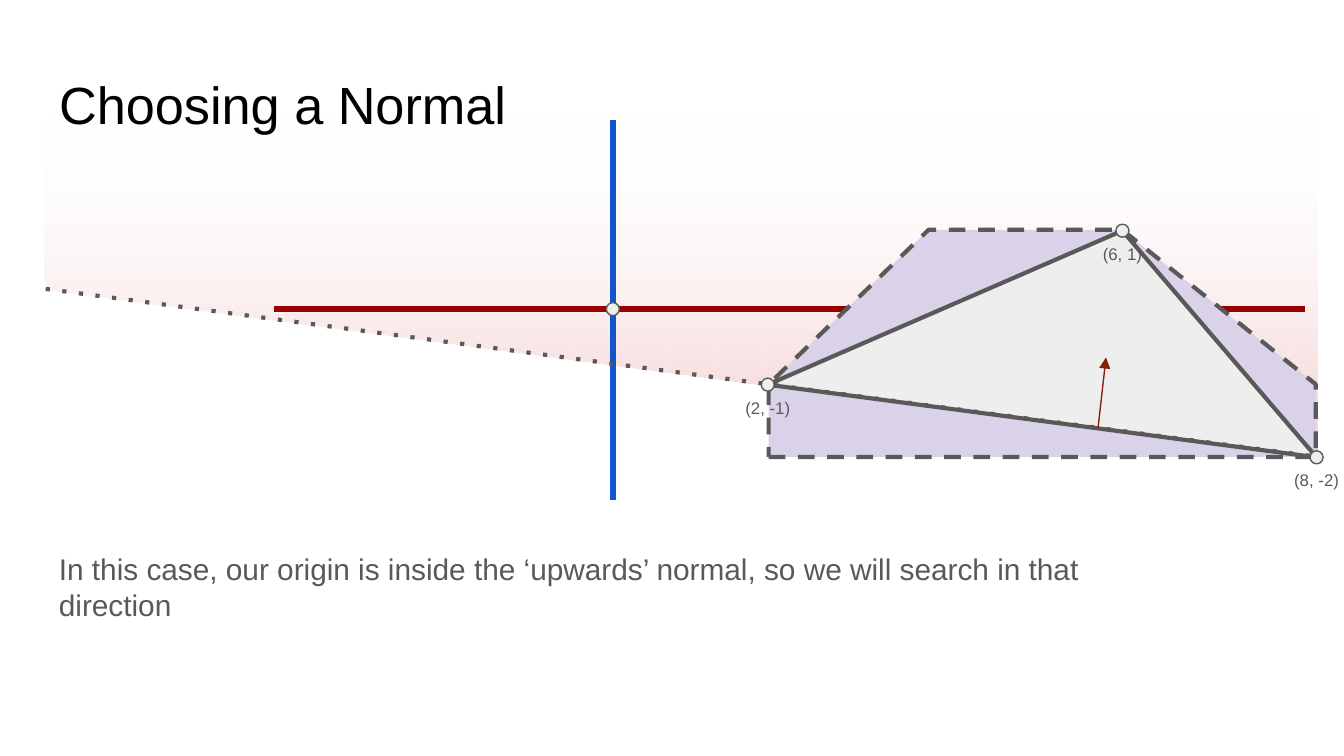
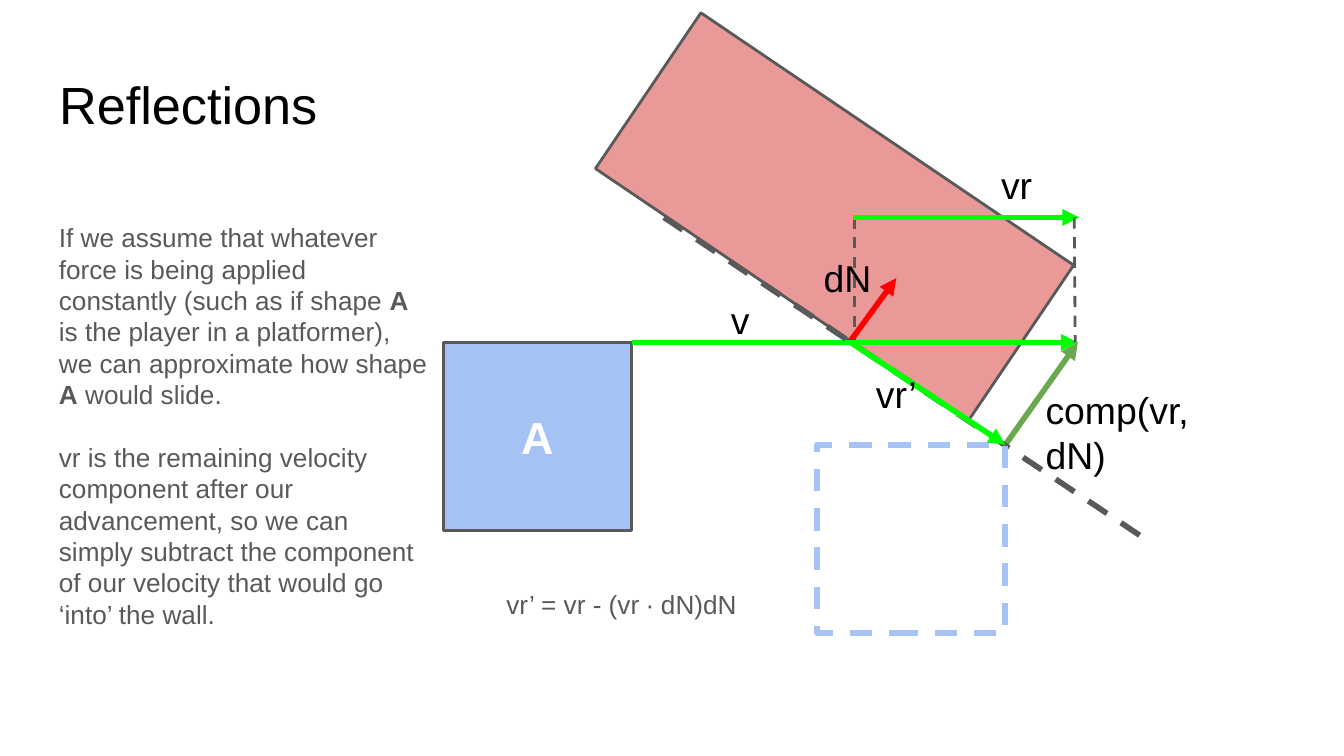
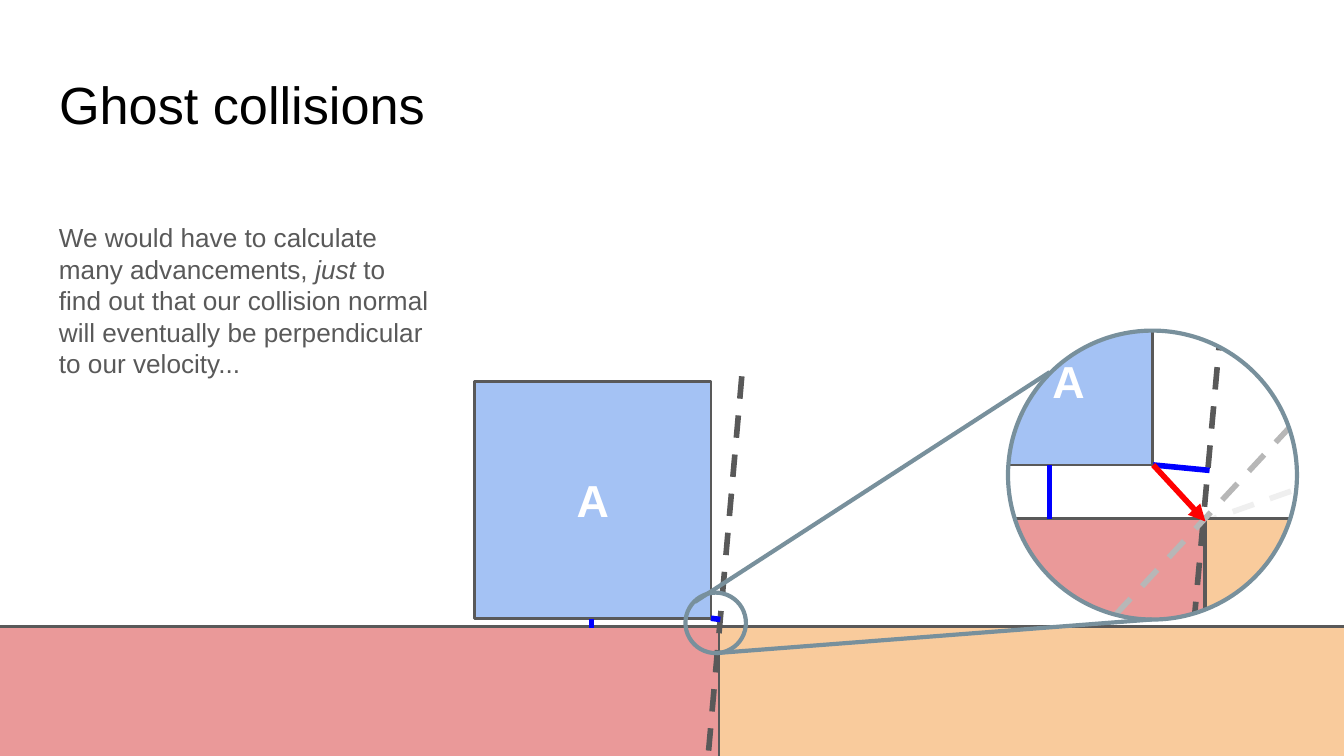
from lxml.etree import SubElement
from pptx import Presentation
from pptx.dml.color import RGBColor
from pptx.enum.shapes import MSO_CONNECTOR as Link, MSO_SHAPE as Kind
from pptx.enum.text import MSO_ANCHOR as Anchor, MSO_AUTO_SIZE as Fit, PP_ALIGN as Align
from pptx.oxml.ns import qn
from pptx.util import Pt

BLACK = RGBColor(0x00, 0x00, 0x00)
WHITE = RGBColor(0xFF, 0xFF, 0xFF)
GREY = RGBColor(0x59, 0x59, 0x59)
MID = RGBColor(0xB7, 0xB7, 0xB7)
PALE = RGBColor(0xEF, 0xEF, 0xEF)
FOG = RGBColor(0xEE, 0xEE, 0xEE)
SLATE = RGBColor(0x78, 0x90, 0x9C)
BLUSH = RGBColor(0xF4, 0xCC, 0xCC)
LILAC = RGBColor(0xD9, 0xD2, 0xE9)
SKY = RGBColor(0xA4, 0xC2, 0xF4)
ROSE = RGBColor(0xEA, 0x99, 0x99)
PEACH = RGBColor(0xF9, 0xCB, 0x9C)
NAVY = RGBColor(0x11, 0x55, 0xCC)
BLUE = RGBColor(0x00, 0x00, 0xFF)
RED = RGBColor(0xFF, 0x00, 0x00)
WINE = RGBColor(0x99, 0x00, 0x00)
RUST = RGBColor(0x85, 0x20, 0x0C)
LIME = RGBColor(0x00, 0xFF, 0x00)
MOSS = RGBColor(0x6A, 0xA8, 0x4F)
FONT = "Arial"
PAD = Pt(7.2)


def stroke(shape, color, width, dash=None, arrow=False):
    """Set the outline of a shape or connector."""
    shape.line.color.rgb = color
    shape.line.width = Pt(width)
    ln = shape.element.spPr.find(qn("a:ln"))
    if dash:
        SubElement(ln, qn("a:prstDash")).set("val", dash)
    if arrow:
        SubElement(ln, qn("a:tailEnd")).set("type", "triangle")


def paint(shape, fill, line, width, dash=None):
    """Give a shape its fill and outline, and no shadow."""
    shape.shadow.inherit = False
    if fill is None:
        shape.fill.background()
    else:
        shape.fill.solid()
        shape.fill.fore_color.rgb = fill
    if line is None:
        shape.line.fill.background()
    else:
        stroke(shape, line, width, dash)
    return shape


def write(frame, paras, size, color, align=Align.LEFT, anchor=Anchor.TOP, gap=0):
    """Fill a frame with paragraphs of runs, each run a text and its style."""
    frame.word_wrap = True
    frame.auto_size = Fit.NONE
    frame.vertical_anchor = anchor
    frame.margin_left = frame.margin_right = PAD
    frame.margin_top = frame.margin_bottom = PAD
    for i, runs in enumerate(paras):
        para = frame.add_paragraph() if i else frame.paragraphs[0]
        para.alignment = align
        para.space_before = Pt(gap if i else 0)
        for text, style in runs:
            run = para.add_run()
            run.text = text
            font = run.font
            font.name, font.size = FONT, Pt(size)
            font.color.rgb = color
            font.bold = style == "bold"
            font.italic = style == "italic"


class Pen:
    """Draws on a slide relative to one point, in points."""

    def __init__(self, slide, x, y):
        """Keep the slide's shapes and the point."""
        self.shapes, self.x, self.y = slide.shapes, x, y

    def spot(self, x, y):
        """Return the place of a relative point on the slide."""
        return Pt(self.x + x), Pt(self.y + y)

    def line(self, start, end, color, width, dash=None, arrow=False):
        """Draw a straight line."""
        link = self.shapes.add_connector(
            Link.STRAIGHT, *self.spot(*start), *self.spot(*end))
        stroke(link, color, width, dash, arrow)
        SubElement(link.element.spPr, qn("a:effectLst"))

    def shape(self, kind, x, y, w, h, fill=None, line=GREY, width=1.5, dash=None):
        """Draw a preset shape from its top left corner."""
        new = self.shapes.add_shape(kind, *self.spot(x, y), Pt(w), Pt(h))
        return paint(new, fill, line, width, dash)

    def disc(self, x, y, size, fill=None, line=SLATE, width=2.25, kind=Kind.OVAL):
        """Draw a round shape about its centre."""
        half = size / 2
        return self.shape(kind, x - half, y - half, size, size, fill, line, width)

    def player(self, x, y, size):
        """Draw the square called A."""
        box = self.shape(Kind.RECTANGLE, x, y, size, size, SKY)
        write(box.text_frame, [[("A", "bold")]], 24, WHITE, Align.CENTER, Anchor.MIDDLE)

    def poly(self, spots, fill, line=GREY, width=2.25, dash=None):
        """Draw a closed outline."""
        first, *rest = [self.spot(*s) for s in spots]
        maker = self.shapes.build_freeform(*first, scale=1.0)
        maker.add_line_segments(rest, close=True)
        return paint(maker.convert_to_shape(), fill, line, width, dash)

    def text(self, x, y, w, h, paras, size, color=GREY, **look):
        """Place a text box."""
        box = self.shapes.add_textbox(*self.spot(x, y), Pt(w), Pt(h))
        write(box.text_frame, paras, size, color, **look)


def start(deck, title):
    """Add a slide with its title."""
    slide = deck.slides.add_slide(deck.slide_layouts[5])
    head = slide.shapes.title
    head.left, head.top, head.width, head.height = Pt(24.5), Pt(35.4), Pt(671), Pt(45)
    write(head.text_frame, [[(title, None)]], 28, BLACK)
    head.text_frame.paragraphs[0].line_spacing = 0.9
    return slide


def body(slide, h, paras, gap=0):
    """Write the column of text at the left."""
    Pen(slide, 24.5, 111.6).text(0, 0, 213, h, paras, 14, gap=gap)


def haze(slide, x, y):
    """Shade the half plane about the origin, behind the title."""
    shade = Pen(slide, x, y).poly(
        [(-301.7, -10.1), (377.3, 79.9), (377.3, -108),
         (-304.6, -108), (-304.6, -16.6)], None, None)
    shade.fill.gradient()
    shade.fill.gradient_angle = 270
    for stop, color, place in zip(shade.fill.gradient_stops, (WHITE, BLUSH), (0, 1)):
        stop.color.rgb = color
        stop.position = place
    clear = shade.element.spPr.find(".//" + qn("a:srgbClr"))
    SubElement(clear, qn("a:alpha")).set("val", "0")
    slide.shapes.title.element.addprevious(shade.element)


def graph(slide, x, y):
    """Draw the axes and triangle about the origin."""
    pen = Pen(slide, x, y)
    names = ("(2, -1)", "(6, 1)", "(8, -2)")
    tips = ((83, 40.5), (273, -42), (377, 79.4))
    pen.line((0, -101.5), (0, 102.2), NAVY, 3)
    pen.line((370.8, 0), (-181.4, 0), WINE, 3)
    pen.poly([(83.5, 79.2), (376.6, 79.2), (376.6, 40.3), (272.9, -42.5),
              (169.2, -42.5), (83.5, 40.3)], LILAC, dash="dash")
    pen.poly(tips, FOG)
    pen.line((259.9, 64.1), (264.2, 25.9), RUST, 0.75, arrow=True)
    pen.disc(0, 0, 7, FOG, GREY, 0.75)
    pen.line((-303.8, -10.8), (378, 79.2), GREY, 2.25, "dot")
    for name, (left, top) in zip(names, tips):
        pen.text(left - 24, top + 3.2, 48, 18, [[(name, None)]], 9,
                 align=Align.CENTER, anchor=Anchor.MIDDLE)
        pen.disc(left, top, 7, FOG, GREY, 0.75)


def bounce(slide, x, y):
    """Draw the vectors of the slide along the wall about the point of contact."""
    pen = Pen(slide, x, y)
    side, rise = 100.8, -67
    end, foot = (121.9, 0), (83.1, 54.8)
    pen.player(-218, 0, side)
    wall = pen.shape(Kind.RECTANGLE, -58.8, -187.9, side, 241.2, ROSE)
    wall.rotation = 304.1
    pen.line((2.4, rise), (2.4, 0), GREY, 1.5, "dash")
    pen.line((-0.5, 0), (24.7, -34.5), RED, 3, arrow=True)
    pen.line((-117.1, 0), end, LIME, 3, arrow=True)
    pen.line(foot, end, MOSS, 3, arrow=True)
    pen.line((-99.8, rise), (162.3, 108.1), GREY, 3, "dash")
    pen.shape(Kind.RECTANGLE, foot[0] - side, foot[1], side, side, None, SKY, 3, "dash")
    pen.line((1.7, rise), (122.7, rise), LIME, 3, arrow=True)
    pen.line((120, rise), (120.5, 0), GREY, 1.5, "dash")
    pen.line((0.3, 0), foot, LIME, 3, arrow=True)
    for word, left, top, w, h in (
            ("dN", -21.4, -54, 46, 38), ("v", -71, -31.6, 25.2, 38),
            ("vr", 73.7, -103.6, 32, 38), ("comp(vr, dN)", 97.5, 16.7, 118.8, 62.6),
            ("vr’", 6.7, 8, 39, 38)):
        pen.text(left, top, w, h, [[(word, None)]], 20, BLACK)
    pen.text(-191.3, 124.7, 160.6, 31, [[("vr’ = vr - (vr ∙ dN)dN", None)]], 14)


def zoom(slide, x, y):
    """Draw the magnified corner about the centre of the lens."""
    pen = Pen(slide, x, y)
    base, floor, corner = -5.4, 23.4, (0.4, -5.4)
    pen.line((-76, 61.6), (101.9, -1.1), PALE, 3, "dash")
    pen.shape(Kind.RECTANGLE, -88.9, floor, 116.6, 64.1, ROSE)
    pen.line((38.5, -99.7), (21.2, 90.4), GREY, 3, "dash")
    pen.shape(Kind.RECTANGLE, 28.4, floor, 56.2, 53.3, PEACH)
    pen.player(-90, base - 90, 90)
    pen.line((-34.2, 90.4), (88.2, -41.4), MID, 3, "dash")
    mask = pen.disc(0, 0, 266, WHITE, None, kind=Kind.DONUT)
    mask.adjustments[0] = 0.21
    pen.disc(0, 0, 154.8)
    pen.line((-55.1, base), (-55.1, floor), BLUE, 3)
    pen.line(corner, (30.6, -2.5), BLUE, 3)
    pen.line(corner, (28.4, 24.9), RED, 3, arrow=True)


def scene(slide, x, y):
    """Draw the player on two floors about the seam, with the lens lines."""
    pen = Pen(slide, x, y)
    pen.player(-131, -131, 126.7)
    pen.shape(Kind.RECTANGLE, -394.6, 0, 394.6, 73.4, ROSE)
    pen.shape(Kind.RECTANGLE, 0, 0, 352, 73.4, PEACH)
    pen.line((12.2, -133.9), (-5.8, 69.1), GREY, 3, "dash")
    pen.line((-68.4, -3.6), (-68.4, 0.7), BLUE, 3)
    pen.line((-4.3, -4.3), (0.7, -3.6), BLUE, 3)
    pen.disc(-1.8, -1.8, 32.4)
    pen.line((-13, -13), (177.1, -136.1), SLATE, 2.25)
    pen.line((-1.4, 14.4), (231.8, -3.6), SLATE, 2.25)


def normal(deck):
    """Build the slide on the choice of a normal."""
    slide = start(deck, "Choosing a Normal")
    haze(slide, 328.3, 165.6)
    graph(slide, 328.3, 165.6)
    Pen(slide, 24.5, 288).text(0, 0, 582, 52.6, [[(
        "In this case, our origin is inside the ‘upwards’ normal, "
        "so we will search in that direction", None)]], 16)


def reflect(deck):
    """Build the slide on reflections."""
    slide = start(deck, "Reflections")
    bounce(slide, 455.5, 183.5)
    body(slide, 233, [
        [("If we assume that whatever force is being applied constantly "
          "(such as if shape ", None), ("A", "bold"),
         (" is the player in a platformer), we can approximate how shape ", None),
         ("A", "bold"), (" would slide.", None)],
        [("vr is the remaining velocity component after our advancement, so we can "
          "simply subtract the component of our velocity that would go "
          "‘into’ the wall.", None)]], gap=16.8)


def ghost(deck):
    """Build the slide on ghost collisions."""
    slide = start(deck, "Ghost collisions")
    zoom(slide, 617.4, 254.5)
    scene(slide, 385.2, 335.5)
    body(slide, 115, [
        [("We would have to calculate many advancements, ", None), ("just", "italic"),
         (" to find out that our collision normal will eventually be "
          "perpendicular to our velocity...", None)]])


def main():
    """Build the deck and save it."""
    deck = Presentation()
    deck.slide_width, deck.slide_height = Pt(720), Pt(405)
    for build in (normal, reflect, ghost):
        build(deck)
    deck.save("out.pptx")


if __name__ == "__main__":
    main()
